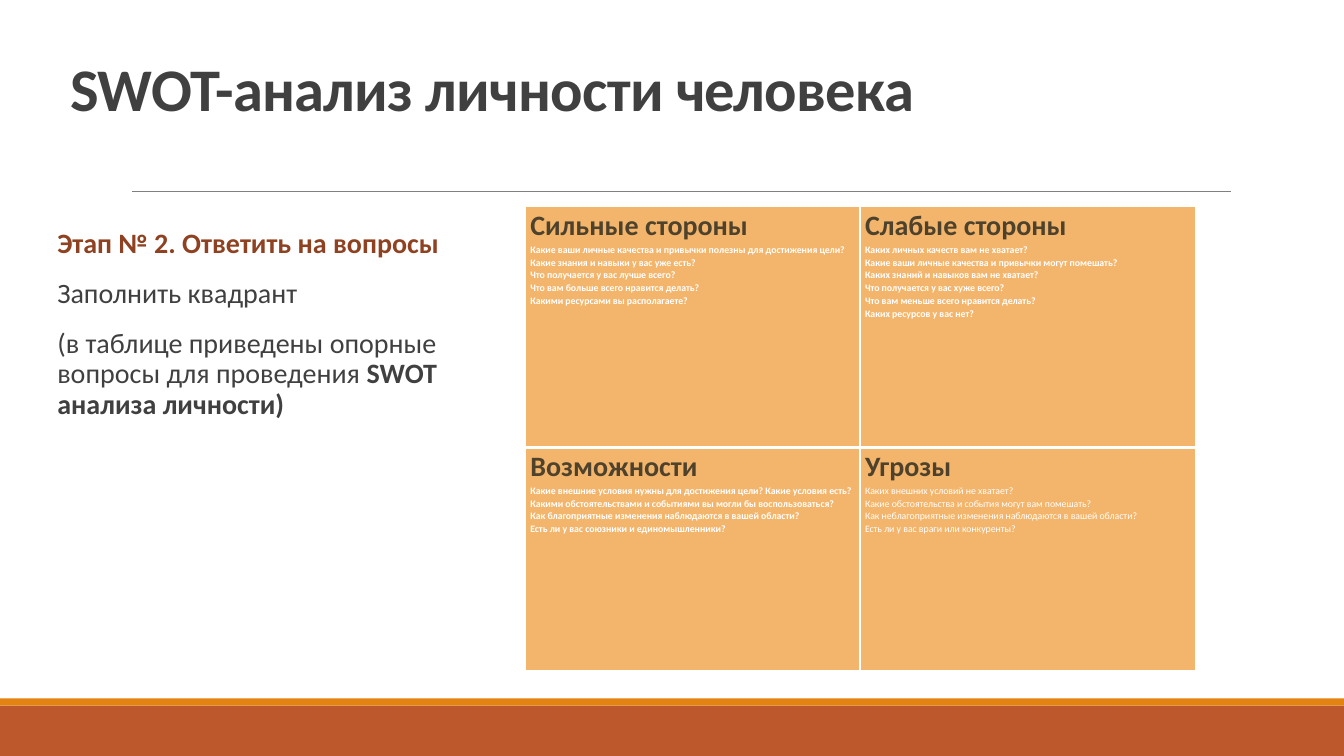
from lxml.etree import SubElement
from pptx import Presentation
from pptx.dml.color import RGBColor
from pptx.enum.shapes import MSO_CONNECTOR, MSO_SHAPE
from pptx.enum.text import MSO_ANCHOR, PP_ALIGN
from pptx.oxml.ns import qn
from pptx.util import Inches, Pt

FONT = "Calibri"
WHITE = RGBColor(0xFF, 0xFF, 0xFF)
TEXT = RGBColor(0x40, 0x40, 0x40)
STAGE = RGBColor(0x8E, 0x42, 0x21)
HEADING = RGBColor(0x4E, 0x42, 0x2C)
CELL = RGBColor(0xF3, 0xB5, 0x6C)
BAND = RGBColor(0xBD, 0x58, 0x2C)
STRIPE = RGBColor(0xE4, 0x83, 0x12)
RULE = RGBColor(0x80, 0x80, 0x80)

INSTRUCTIONS = [
    [("Этап № 2. Ответить на вопросы", True, STAGE)],
    [("Заполнить квадрант", False, TEXT)],
    [("(в таблице приведены опорные вопросы для проведения ", False, TEXT),
     ("SWOT анализа личности)", True, TEXT)],
]

# Heading, whether the questions are bold, questions
QUADRANTS = [
    [("Сильные стороны", True, [
        "Какие ваши личные качества и привычки полезны для достижения цели?",
        "Какие знания и навыки у вас уже есть?",
        "Что получается у вас лучше всего?",
        "Что вам больше всего нравится делать?",
        "Какими ресурсами вы располагаете?"]),
     ("Слабые стороны", True, [
         "Каких личных качеств вам не хватает?",
         "Какие ваши личные качества и привычки могут помешать?",
         "Каких знаний и навыков вам не хватает?",
         "Что получается у вас хуже всего?",
         "Что вам меньше всего нравится делать?",
         "Каких ресурсов у вас нет?"])],
    [("Возможности", True, [
        "Какие внешние условия нужны для достижения цели? Какие условия есть?",
        "Какими обстоятельствами и событиями вы могли бы воспользоваться?",
        "Как благоприятные изменения наблюдаются в вашей области?",
        "Есть ли у вас союзники и единомышленники?"]),
     ("Угрозы", False, [
         "Каких внешних условий не хватает?",
         "Какие обстоятельства и события могут вам помешать?",
         "Как неблагоприятные изменения наблюдаются в вашей области?",
         "Есть ли у вас враги или конкуренты?"])],
]


def set_font(font, size, color, bold):
    font.name = FONT
    font.size = Pt(size)
    font.color.rgb = color
    font.bold = bold


def add_band(s, top, height, color):
    band = s.shapes.add_shape(MSO_SHAPE.RECTANGLE, 0, Inches(top),
                              Inches(13.33), Inches(height))
    band.shadow.inherit = False
    band.fill.solid()
    band.fill.fore_color.rgb = color
    band.line.fill.background()


def add_rule(s):
    rule = s.shapes.add_connector(MSO_CONNECTOR.STRAIGHT, Inches(1.31),
                                  Inches(1.9), Inches(12.21), Inches(1.9))
    rule.line.color.rgb = RULE
    rule.line.width = Pt(0.5)
    SubElement(rule._element.spPr, qn("a:effectLst"))


def set_title(s, text):
    title = s.shapes.title
    title.left, title.top = Inches(0.6), Inches(0.57)
    title.width, title.height = Inches(9.33), Inches(1.3)
    tf = title.text_frame
    tf.vertical_anchor = MSO_ANCHOR.TOP
    p = tf.paragraphs[0]
    p.alignment = PP_ALIGN.LEFT
    p.line_spacing = 0.85
    r = p.add_run()
    r.text = text
    set_font(r.font, 43.2, TEXT, True)
    r.font._element.set("spc", "-50")


def add_instructions(s):
    box = s.shapes.add_textbox(Inches(0.47), Inches(2.23), Inches(4.55),
                               Inches(3.95))
    tf = box.text_frame
    tf.word_wrap = True
    tf.margin_left, tf.margin_right = Inches(0.1), 0
    for i, runs in enumerate(INSTRUCTIONS):
        p = tf.paragraphs[0] if i == 0 else tf.add_paragraph()
        p.line_spacing = 0.9
        p.space_before = Pt(12 if i else 0)
        p.space_after = Pt(2)
        for text, bold, color in runs:
            r = p.add_run()
            r.text = text
            set_font(r.font, 20, color, bold)


def set_borders(cell, widths):
    """Draw white borders; widths maps a side (L, R, T, B) to points."""
    tcPr = cell._tc.get_or_add_tcPr()
    for side, width in widths.items():
        ln = SubElement(tcPr, qn(f"a:ln{side}"), w=str(Pt(width)))
        fill = SubElement(ln, qn("a:solidFill"))
        SubElement(fill, qn("a:srgbClr"), val=str(WHITE))


def fill_quadrant(cell, heading, bold, questions):
    cell.margin_left = cell.margin_right = Inches(0.05)
    cell.margin_top = cell.margin_bottom = 0
    cell.fill.solid()
    cell.fill.fore_color.rgb = CELL
    tf = cell.text_frame
    for i, text in enumerate([heading, *questions]):
        p = tf.paragraphs[0] if i == 0 else tf.add_paragraph()
        p.text = text
        p.line_spacing = 1.07
        if i == 0:
            set_font(p.font, 20, HEADING, True)
        else:
            set_font(p.font, 7, WHITE, bold)


def add_swot_table(s):
    table = s.shapes.add_table(2, 2, Inches(5.21), Inches(2.05),
                               Inches(6.65), Inches(4.6)).table
    table.columns[0].width, table.columns[1].width = Inches(3.32), Inches(3.33)
    table.rows[0].height, table.rows[1].height = Inches(2.39), Inches(2.21)
    for row, quadrants in enumerate(QUADRANTS):
        inner = {"B": 3} if row == 0 else {"T": 3}
        for col, quadrant in enumerate(quadrants):
            cell = table.cell(row, col)
            set_borders(cell, {"L": 1, "R": 1, "T": 1, "B": 1} | inner)
            fill_quadrant(cell, *quadrant)


def main():
    prs = Presentation()
    prs.slide_width, prs.slide_height = Inches(13.33), Inches(7.5)
    s = prs.slides.add_slide(prs.slide_layouts[5])
    add_band(s, 7, 0.5, BAND)
    add_band(s, 6.93, 0.07, STRIPE)
    add_rule(s)
    set_title(s, "SWOT-анализ личности человека")
    add_instructions(s)
    add_swot_table(s)
    prs.save("out.pptx")


if __name__ == "__main__":
    main()
